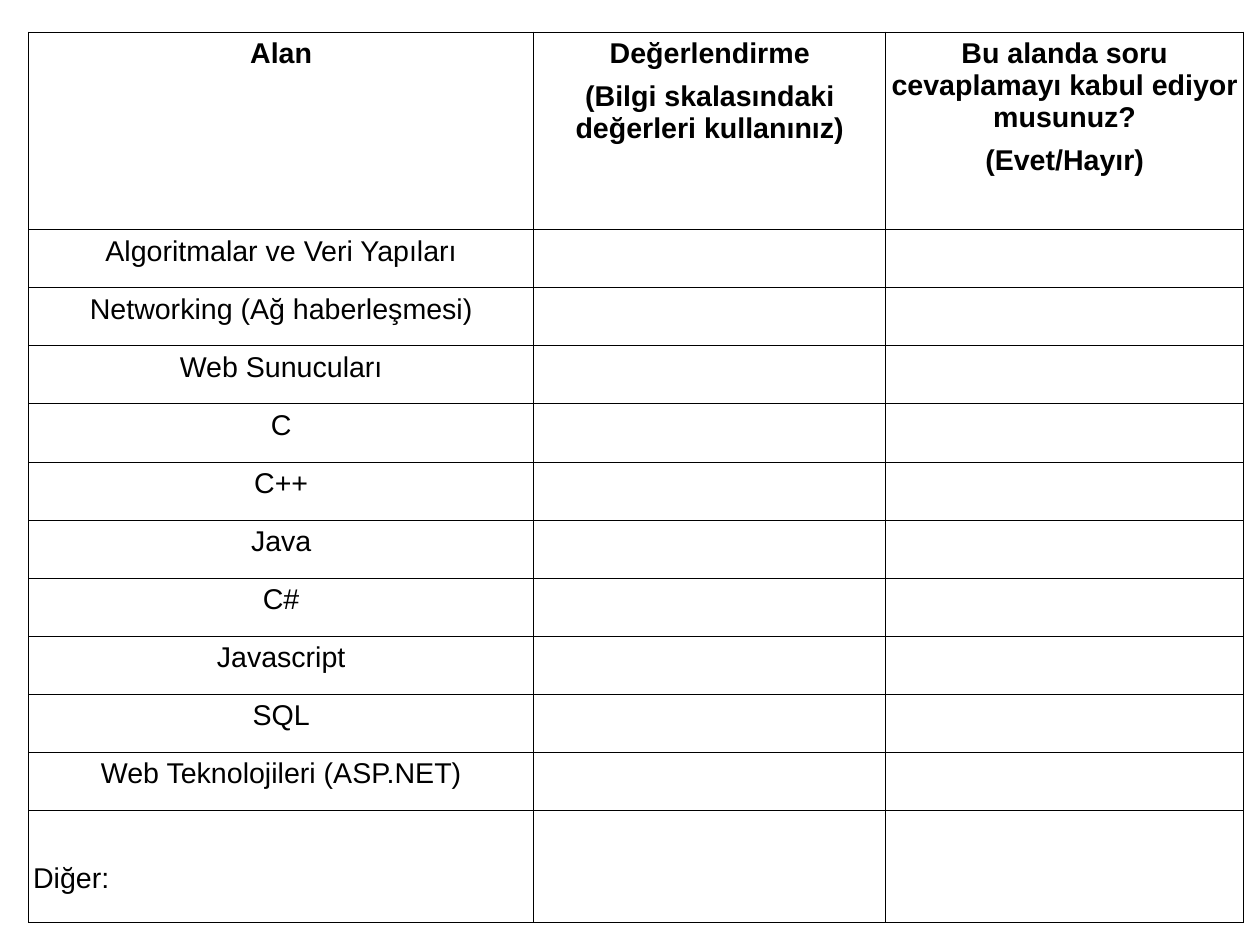
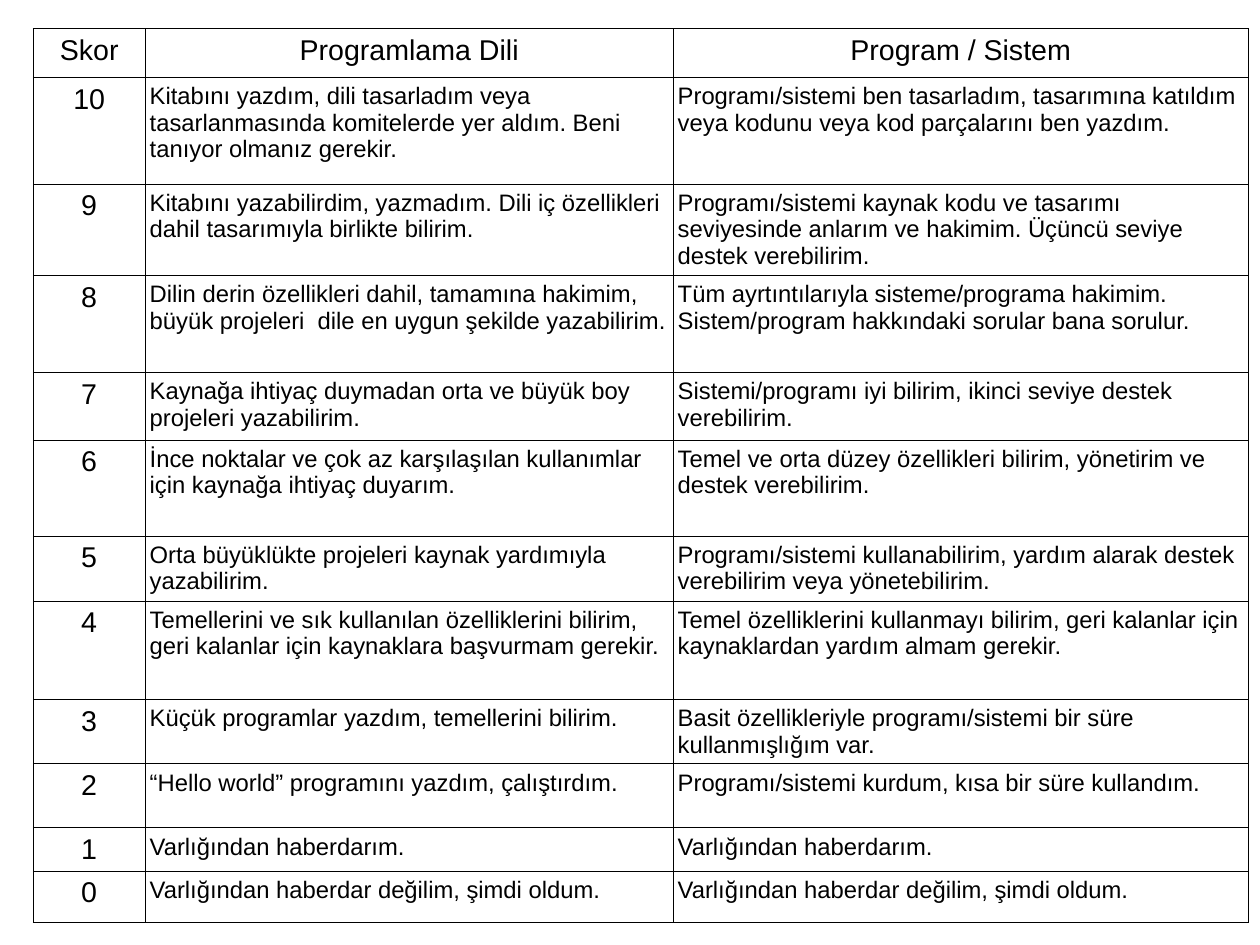
from lxml import etree
from pptx import Presentation
from pptx import util as u
from pptx.dml.color import RGBColor
from pptx.enum import text
from pptx.oxml import ns

WIDE, HIGH = u.Cm(28), u.Cm(21)
FONT, INK = "Arial", "000000"
BIG, SMALL = 18, 15
RULE, GAP = 0.57, 3.4
SIDE, EDGE = 0.04, 0.05

AREAS = [
    "Algoritmalar ve Veri Yapıları", "Networking (Ağ haberleşmesi)",
    "Web Sunucuları", "C", "C++", "Java", "C#", "Javascript", "SQL",
    "Web Teknolojileri (ASP.NET)",
]
OTHER = "Diğer:"
FORM_HEAD = [
    "Alan",
    "Değerlendirme\n(Bilgi skalasındaki değerleri kullanınız)",
    "Bu alanda soru cevaplamayı kabul ediyor musunuz?\n(Evet/Hayır)",
]
FORM_HIGH, HEAD_HIGH, OTHER_HIGH = 7.79, 1.73, 0.98

SCALE_HEAD = ["Skor", "Programlama Dili", "Program / Sistem"]
# Row height, language, system; scores run from 10 down to 0
LEVELS = [
    (0.93, "Kitabını yazdım, dili tasarladım veya tasarlanmasında komitelerde yer aldım. Beni tanıyor olmanız gerekir.",
     "Programı/sistemi ben tasarladım, tasarımına katıldım veya kodunu veya kod parçalarını ben yazdım."),
    (0.8, "Kitabını yazabilirdim, yazmadım. Dili iç özellikleri dahil tasarımıyla birlikte bilirim.",
     "Programı/sistemi kaynak kodu ve tasarımı seviyesinde anlarım ve hakimim. Üçüncü seviye destek verebilirim."),
    (0.85, "Dilin derin özellikleri dahil, tamamına hakimim, büyük projeleri  dile en uygun şekilde yazabilirim.",
     "Tüm ayrtıntılarıyla sisteme/programa hakimim. Sistem/program hakkındaki sorular bana sorulur."),
    (0.59, "Kaynağa ihtiyaç duymadan orta ve büyük boy projeleri yazabilirim.",
     "Sistemi/programı iyi bilirim, ikinci seviye destek verebilirim."),
    (0.84, "İnce noktalar ve çok az karşılaşılan kullanımlar için kaynağa ihtiyaç duyarım.",
     "Temel ve orta düzey özellikleri bilirim, yönetirim ve destek verebilirim."),
    (0.57, "Orta büyüklükte projeleri kaynak yardımıyla yazabilirim.",
     "Programı/sistemi kullanabilirim, yardım alarak destek verebilirim veya yönetebilirim."),
    (0.86, "Temellerini ve sık kullanılan özelliklerini bilirim, geri kalanlar için kaynaklara başvurmam gerekir.",
     "Temel özelliklerini kullanmayı bilirim, geri kalanlar için kaynaklardan yardım almam gerekir."),
    (0.56, "Küçük programlar yazdım, temellerini bilirim.",
     "Basit özellikleriyle programı/sistemi bir süre kullanmışlığım var."),
    (0.56, "“Hello world” programını yazdım, çalıştırdım.",
     "Programı/sistemi kurdum, kısa bir süre kullandım."),
    (0.38, "Varlığından haberdarım.", "Varlığından haberdarım."),
    (0.45, "Varlığından haberdar değilim, şimdi oldum.",
     "Varlığından haberdar değilim, şimdi oldum."),
]


def color(code):
    return RGBColor.from_string(code)


def border(cell):
    props = cell._tc.get_or_add_tcPr()
    for side in ("lnL", "lnR", "lnT", "lnB"):
        line = etree.SubElement(props, ns.qn(f"a:{side}"), w=str(u.Pt(RULE)))
        fill = etree.SubElement(line, ns.qn("a:solidFill"))
        etree.SubElement(fill, ns.qn("a:srgbClr"), val=INK)


def write(cell, words, size=BIG, bold=False, center=True):
    cell.text = words
    for i, par in enumerate(cell.text_frame.paragraphs):
        par.alignment = text.PP_ALIGN.CENTER if center else text.PP_ALIGN.LEFT
        if i:
            par.space_before = u.Pt(2 * GAP)
        font = par.font
        font.name, font.size, font.bold = FONT, u.Pt(size), bold
        font.color.rgb = color(INK)


def add_grid(deck, left, top, cols, rows):
    """Add a slide holding one empty ruled table."""
    slide = deck.slides.add_slide(deck.slide_layouts[6])
    box = [u.Inches(n) for n in (left, top, sum(cols), sum(rows))]
    table = slide.shapes.add_table(len(rows), len(cols), *box).table
    table.first_row = table.horz_banding = False
    for col, width in zip(table.columns, cols):
        col.width = u.Inches(width)
    for row, height in zip(table.rows, rows):
        row.height = u.Inches(height)
    for cell in table.iter_cells():
        border(cell)
        cell.fill.background()
        cell.margin_left = cell.margin_right = u.Inches(SIDE)
        cell.margin_top = cell.margin_bottom = u.Inches(EDGE)
    return table


def add_form(deck):
    count = len(AREAS)
    each = (FORM_HIGH - HEAD_HIGH - OTHER_HIGH) / count
    rows = [HEAD_HIGH] + [each] * count + [OTHER_HIGH]
    table = add_grid(deck, 0.25, 0.28, [4.42, 3.08, 3.13], rows)
    for c, words in enumerate(FORM_HEAD):
        write(table.cell(0, c), words, bold=True)
    for r, words in enumerate(AREAS, 1):
        write(table.cell(r, 0), words)
    last = table.cell(count + 1, 0)
    write(last, OTHER, center=False)
    last.margin_top = u.Inches(0.46)


def add_scale(deck):
    rows = [0.43] + [level[0] for level in LEVELS]
    table = add_grid(deck, 0.29, 0.25, [0.98, 4.62, 5.03], rows)
    for c, words in enumerate(SCALE_HEAD):
        write(table.cell(0, c), words)
    for r, (_, *notes) in enumerate(LEVELS, 1):
        write(table.cell(r, 0), str(len(LEVELS) - r))
        for c, words in enumerate(notes, 1):
            write(table.cell(r, c), words, SMALL, center=False)


def main():
    deck = Presentation()
    deck.slide_width, deck.slide_height = WIDE, HIGH
    add_form(deck)
    add_scale(deck)
    deck.save("out.pptx")


if __name__ == "__main__":
    main()
